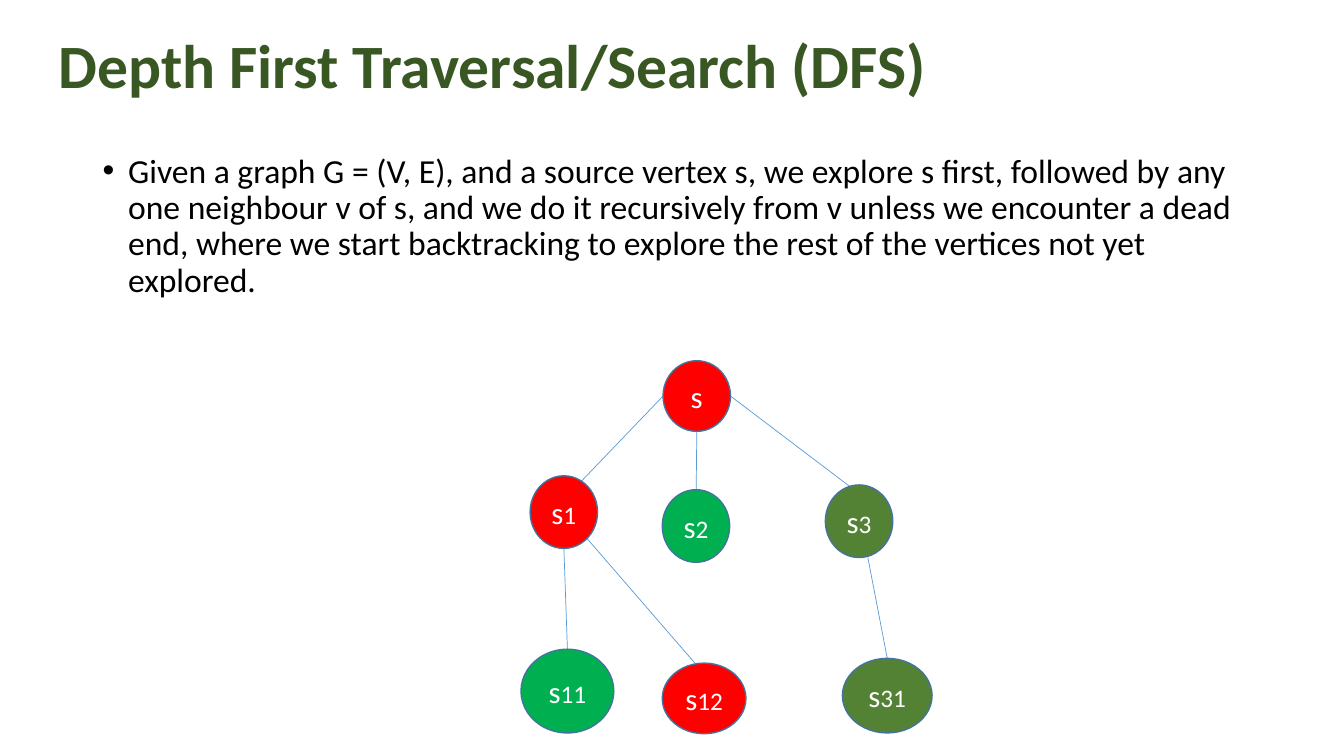
from lxml.etree import SubElement
from pptx import Presentation
from pptx.dml.color import RGBColor
from pptx.enum.shapes import MSO_CONNECTOR as CONNECTOR, MSO_SHAPE as SHAPE
from pptx.enum.text import MSO_ANCHOR as ANCHOR, MSO_AUTO_SIZE as AUTO_SIZE, PP_ALIGN as ALIGN
from pptx.oxml.ns import qn
from pptx.util import Cm, Pt

FONT = "Calibri"
BLACK = RGBColor(0x00, 0x00, 0x00)
WHITE = RGBColor(0xFF, 0xFF, 0xFF)
TITLE_GREEN = RGBColor(0x38, 0x57, 0x23)
RED = RGBColor(0xFF, 0x00, 0x00)
GREEN = RGBColor(0x00, 0xB0, 0x50)
OLIVE = RGBColor(0x54, 0x82, 0x35)
OUTLINE = RGBColor(0x43, 0x73, 0x9E)
EDGE_BLUE = RGBColor(0x5B, 0x9B, 0xD5)

TITLE = "Depth First Traversal/Search (DFS)"
DEFINITION = (
    "Given a graph G = (V, E), and a source vertex s, we explore s first, "
    "followed by any one neighbour v of s, and we do it recursively from v "
    "unless we encounter a dead end, where we start backtracking to explore "
    "the rest of the vertices not yet explored."
)
VERTICES = {
    "s": (16.71, 9.09, 1.7, 1.78, RED),
    "s1": (13.36, 11.99, 1.7, 1.83, RED),
    "s2": (16.69, 12.34, 1.7, 1.83, GREEN),
    "s3": (20.8, 12.22, 1.7, 1.83, OLIVE),
    "s11": (13.13, 16.36, 2.34, 2.11, GREEN),
    "s12": (16.69, 16.71, 2.11, 1.78, RED),
    "s31": (21.23, 16.59, 2.26, 1.88, OLIVE),
}
EDGES = [
    ("s", (0, 0.5), "s1", (0.61, 0.22)),
    ("s", (0.5, 1), "s2", (0.5, 0.24)),
    ("s", (1, 0.5), "s3", (0.63, 0.21)),
    ("s1", (0.5, 1), "s11", (0.5, 0)),
    ("s1", (0.84, 0.86), "s12", (0.39, 0)),
    ("s3", (0.63, 1), "s31", (0.5, 0)),
]


def style(run, size, color, bold=False):
    """Set the font of a run."""
    run.font.name, run.font.size, run.font.bold = FONT, Pt(size), bold
    run.font.color.rgb = color


def place(box, left, top, width, height):
    """Move and size a box, in centimetres."""
    box.left, box.top, box.width, box.height = map(Cm, (left, top, width, height))


def anchor_point(vertex, share):
    """Return the point at the given shares of a vertex's width and height."""
    left, top, width, height, _ = VERTICES[vertex]
    return Cm(left + share[0] * width), Cm(top + share[1] * height)


def add_edge(slide, parent, start, child, end):
    """Draw a thin line from parent to child."""
    edge = slide.shapes.add_connector(
        CONNECTOR.STRAIGHT, *anchor_point(parent, start), *anchor_point(child, end))
    edge.line.color.rgb, edge.line.width = EDGE_BLUE, Pt(0.5)
    SubElement(edge.line._get_or_add_ln().getparent(), qn("a:effectLst"))


def add_vertex(slide, label, left, top, width, height, color):
    """Draw a labelled vertex with a smaller index."""
    vertex = slide.shapes.add_shape(SHAPE.OVAL, *map(Cm, (left, top, width, height)))
    vertex.shadow.inherit = False
    vertex.fill.solid()
    vertex.fill.fore_color.rgb = color
    vertex.line.color.rgb, vertex.line.width = OUTLINE, Pt(1)
    frame = vertex.text_frame
    frame.word_wrap, frame.vertical_anchor = False, ANCHOR.MIDDLE
    paragraph = frame.paragraphs[0]
    paragraph.alignment = ALIGN.CENTER
    for text, size in ((label[:1], 22), (label[1:], 18)):
        if text:
            run = paragraph.add_run()
            run.text = text
            style(run, size, WHITE)


def add_title(slide):
    """Fill and format the title placeholder."""
    title = slide.shapes.title
    place(title, 1.22, 0.74, 29.21, 1.96)
    frame = title.text_frame
    frame.text = TITLE
    frame.auto_size, frame.vertical_anchor = AUTO_SIZE.NONE, ANCHOR.MIDDLE
    paragraph = frame.paragraphs[0]
    paragraph.alignment, paragraph.line_spacing = ALIGN.LEFT, 0.9
    style(paragraph.runs[0], 44, TITLE_GREEN, bold=True)


def add_definition(slide):
    """Add the bulleted definition."""
    definition = slide.shapes.add_textbox(*map(Cm, (2.34, 3.76, 29.21, 13.41)))
    frame = definition.text_frame
    frame.word_wrap = True
    frame.text = DEFINITION
    paragraph = frame.paragraphs[0]
    paragraph.line_spacing, paragraph.space_before = 0.9, Pt(10)
    style(paragraph.runs[0], 24, BLACK)
    properties = paragraph._p.get_or_add_pPr()
    properties.set("marL", str(Cm(0.64)))
    properties.set("indent", str(Cm(-0.64)))
    SubElement(properties, qn("a:buFont"), typeface="Arial")
    SubElement(properties, qn("a:buChar"), char="•")


def main():
    """Build the slide and save it."""
    deck = Presentation()
    deck.slide_width, deck.slide_height = Cm(33.87), Cm(19.05)
    slide = deck.slides.add_slide(deck.slide_layouts.get_by_name("Title Only"))
    add_title(slide)
    add_definition(slide)
    for edge in EDGES:
        add_edge(slide, *edge)
    for label, vertex in VERTICES.items():
        add_vertex(slide, label, *vertex)
    deck.save("out.pptx")


main()
